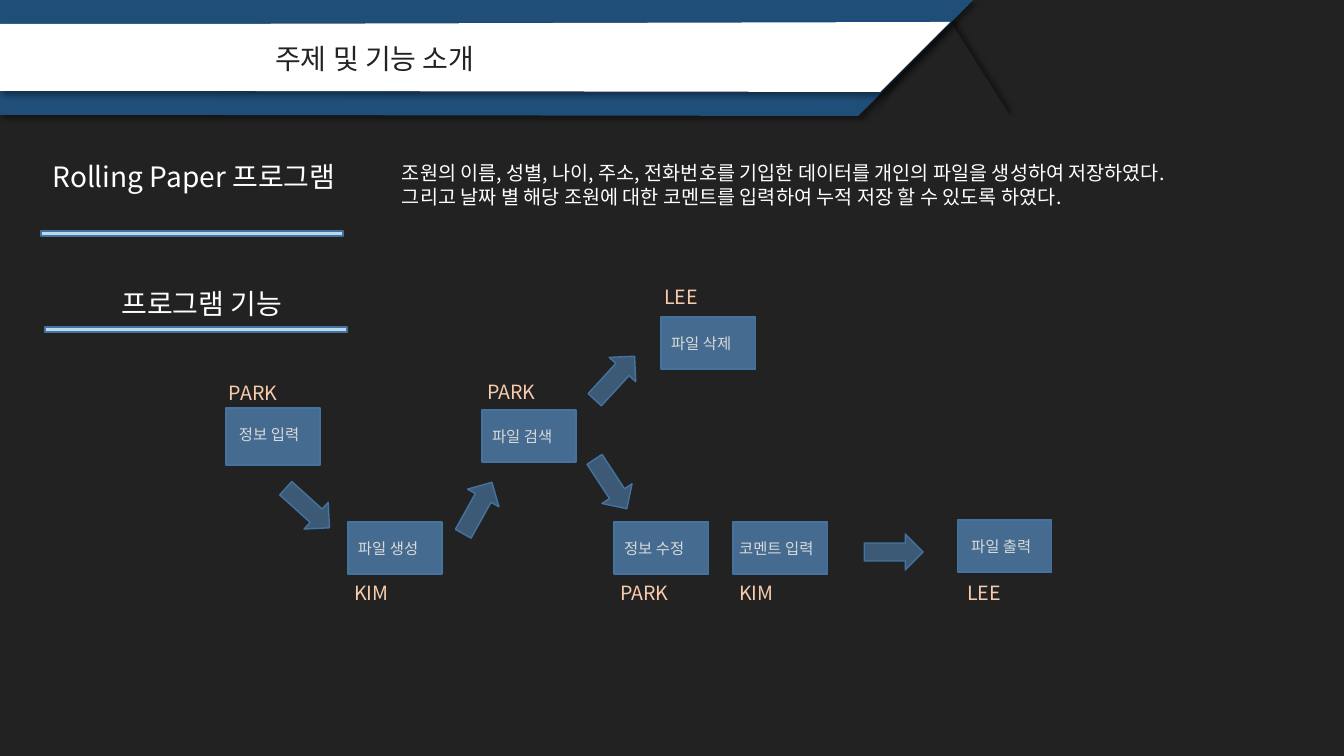
from dataclasses import dataclass

from lxml.etree import SubElement
from pptx import Presentation
from pptx.dml.color import RGBColor
from pptx.enum.shapes import MSO_SHAPE
from pptx.enum.text import MSO_ANCHOR, MSO_AUTO_SIZE, PP_ALIGN
from pptx.oxml.ns import qn
from pptx.util import Inches, Pt

PX = Inches(1) / 100.8


@dataclass(frozen=True)
class Theme:
    """Colours, font and type sizes of the slide."""
    font: str = "Noto Sans CJK KR"
    back: str = "222222"
    navy: str = "1F4E79"
    white: str = "FFFFFF"
    blue: str = "5B9BD5"
    edge: str = "43739E"
    rule: str = "BDD7EE"
    label: str = "D9D9D9"
    owner: str = "F8CBAD"
    head: int = 20
    body: int = 14
    small: int = 11


T = Theme()

TITLE = "주제 및 기능 소개"
HEADS = [("Rolling Paper 프로그램", (8, 155)), ("프로그램 기능", (16, 282))]
INTRO = [
    "조원의 이름, 성별, 나이, 주소, 전화번호를 기입한 데이터를 개인의 파일을 생성하여 저장하였다.",
    "그리고 날짜 별 해당 조원에 대한 코멘트를 입력하여 누적 저장 할 수 있도록 하였다.",
]
RULES = [(41, 231), (45, 327)]
BANDS = [
    (T.navy, [(0, 0), (973, 0), (858, 116), (204, 115), (0, 115)]),
    (T.white, [(0, 24), (203, 24), (950, 22), (880, 92), (203, 91), (0, 91)]),
]
# label, box corner, box height, label shift, label width, owner, owner corner
STEPS = [
    ("파일 생성", (348, 522), 52, 0, 90, "KIM", (344, 576)),
    ("파일 삭제", (661, 317), 52, 0, 90, "LEE", (654, 280)),
    ("파일 출력", (957, 520), 52, 4, 90, "LEE", (957, 576)),
    ("코멘트 입력", (733, 522), 52, -4, 110, "KIM", (729, 576)),
    ("파일 검색", (482, 410), 52, 0, 90, "PARK", (477, 375)),
    ("정보 입력", (226, 408), 57, 3, 90, "PARK", (219, 376)),
    ("정보 수정", (614, 522), 52, 0, 90, "PARK", (610, 576)),
]
ARROWS = [(278, 490, 42.1), (448, 490, 299.1), (581, 466, 56.8),
          (864, 534, 0), (585, 360, 312.5)]


def emu(*vals):
    """Turn pixels into EMU."""
    return [round(v * PX) for v in vals]


def rgb(code):
    """Make a colour from its hex code."""
    return RGBColor.from_string(code)


def paint(shape, fill, edge=None, alpha=None):
    """Set fill, outline and opacity in percent, without a shadow."""
    shape.shadow.inherit = False
    shape.fill.solid()
    shape.fill.fore_color.rgb = rgb(fill)
    if alpha:
        tint = shape.element.spPr.find(qn("a:solidFill"))[0]
        SubElement(tint, qn("a:alpha"), val=str(alpha * 1000))
    if edge:
        shape.line.color.rgb = rgb(edge)
        shape.line.width = Pt(1)
    else:
        shape.line.fill.background()


def shade(shape, angle):
    """Cast a soft black shadow at an angle in degrees."""
    group = shape.element.spPr.find(qn("a:effectLst"))
    cast = SubElement(group, qn("a:outerShdw"), blurRad=str(Pt(4)),
                      dist=str(Pt(3)), dir=str(angle * 60000),
                      algn="tl", rotWithShape="0")
    tint = SubElement(cast, qn("a:srgbClr"), val="000000")
    SubElement(tint, qn("a:alpha"), val="40000")


def write(frame, lines, size, color, align=PP_ALIGN.LEFT):
    """Fill a text frame with one paragraph per line."""
    frame.text = "\n".join(lines)
    frame.vertical_anchor = MSO_ANCHOR.TOP
    for para in frame.paragraphs:
        para.alignment = align
        para.font.name = T.font
        para.font.size = Pt(size)
        para.font.color.rgb = rgb(color)
        for run in para.runs:
            SubElement(run.font._element, qn("a:ea"), typeface=T.font)


def note(box, lines, size, color, align=PP_ALIGN.LEFT):
    """Add a wrapped text box."""
    frame = shapes.add_textbox(*emu(*box)).text_frame
    frame.word_wrap = True
    frame.auto_size = MSO_AUTO_SIZE.SHAPE_TO_FIT_TEXT
    write(frame, lines, size, color, align)


def block(kind, box, fill, edge=None, alpha=None):
    """Add a painted preset shape."""
    shape = shapes.add_shape(kind, *emu(*box))
    paint(shape, fill, edge, alpha)
    return shape


def band(color, points):
    """Add a shadowed banner strip."""
    path = shapes.build_freeform(*points[0], scale=PX)
    path.add_line_segments(points[1:], close=True)
    shape = path.convert_to_shape()
    paint(shape, color)
    shade(shape, 45)


deck = Presentation()
deck.slide_width, deck.slide_height = Inches(13.33), Inches(7.5)
slide = deck.slides.add_slide(deck.slide_layouts[5])
slide.background.fill.solid()
slide.background.fill.fore_color.rgb = rgb(T.back)
shapes = slide.shapes

shade(block(MSO_SHAPE.ISOSCELES_TRIANGLE, (877, 11, 133, 105), T.back), 315)
for color, points in BANDS:
    band(color, points)

title = shapes.title
title.left, title.top, title.width, title.height = emu(265, 36, 243, 44)
title.text_frame.word_wrap = False
title.text_frame.auto_size = MSO_AUTO_SIZE.NONE
write(title.text_frame, [TITLE], T.head, T.back)
shapes.element.append(title.element)  # in front of the banner

for text, spot in HEADS:
    note((*spot, 372, 44), [text], T.head, T.white, PP_ALIGN.CENTER)
note((392, 156, 898, 57), INTRO, T.body, T.white)
for spot in RULES:
    block(MSO_SHAPE.RECTANGLE, (*spot, 302, 5), T.rule, T.edge)

for label, (x, y), high, shift, wide, owner, spot in STEPS:
    block(MSO_SHAPE.FLOWCHART_PROCESS, (x, y, 94, high), T.blue, T.edge, 62)
    note((x + shift, y + 12, wide, 29), [label], T.small, T.label)
    note((*spot, 89, 34), [owner], T.body, T.owner)

for x, y, turn in ARROWS:
    arrow = block(MSO_SHAPE.RIGHT_ARROW, (x, y, 59, 36), T.blue, T.edge, 47)
    arrow.rotation = turn

deck.save("out.pptx")
